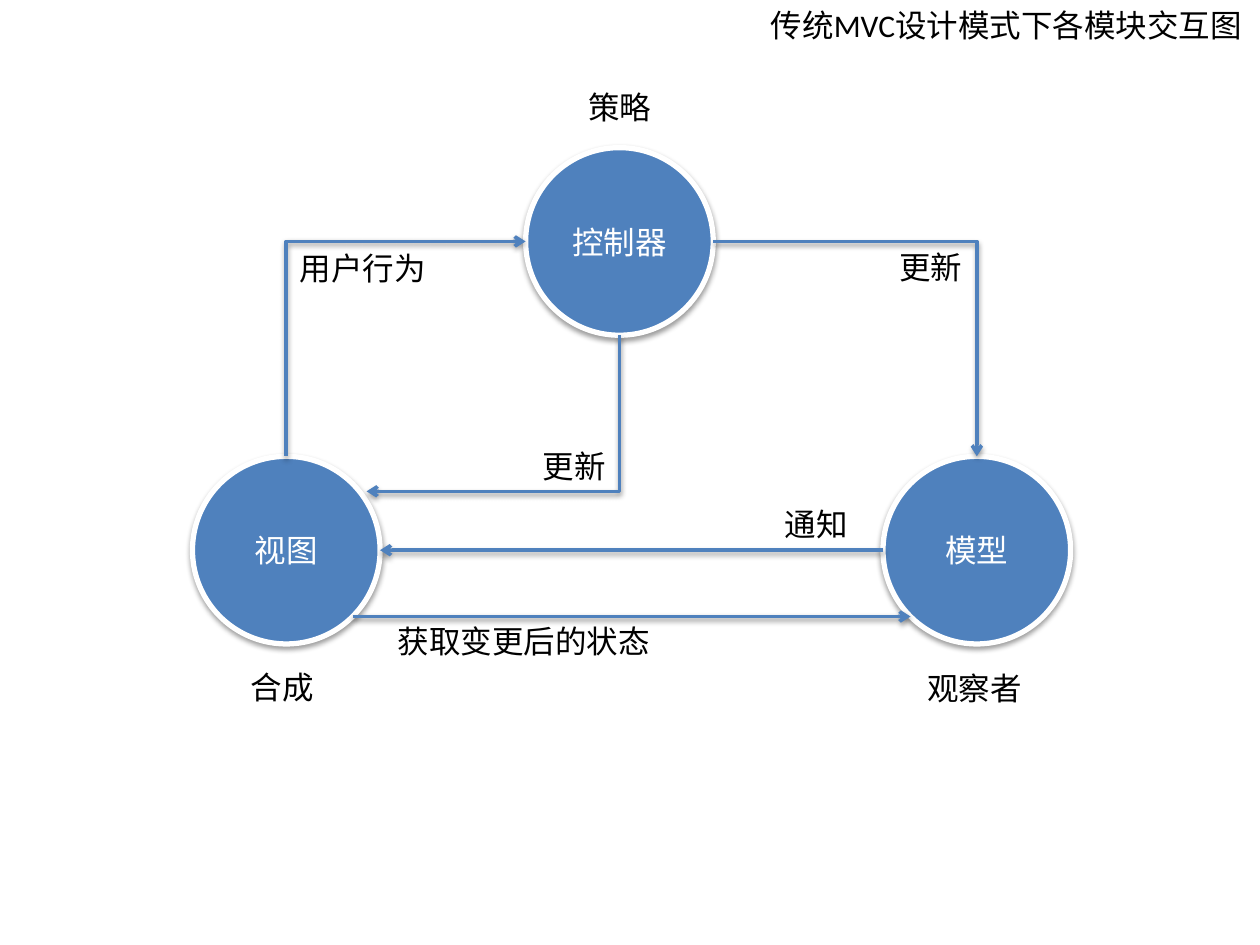
"""Draw how the modules of the traditional MVC pattern interact."""
from lxml.etree import SubElement
from pptx import Presentation
from pptx.dml.color import RGBColor
from pptx.enum.shapes import MSO_CONNECTOR, MSO_SHAPE
from pptx.enum.text import MSO_ANCHOR, PP_ALIGN
from pptx.oxml.ns import qn
from pptx.util import Pt

BLUE = RGBColor(0x4F, 0x81, 0xBD)
WHITE = RGBColor(0xFF, 0xFF, 0xFF)
BLACK = RGBColor(0x00, 0x00, 0x00)
RADIUS = 53.6
DIAG = 37.9
TOP, LOW = 138, 314.4
VIEW, CONTROL, MODEL = 163.6, 354, 558.2
NODES = [("控制器", CONTROL, TOP), ("视图", VIEW, LOW), ("模型", MODEL, LOW)]
LABELS = [
    ("用户行为", 164.2, 138.5, 87.1),
    ("更新", 506.9, 138, 51.1),
    ("更新", 303.1, 252, 51.1),
    ("通知", 441.4, 285.1, 51.1),
    ("获取变更后的状态", 220.3, 352.1, 159.8),
    ("合成", 136.1, 378, 51.1),
    ("观察者", 522.7, 378.8, 69.1),
    ("策略", 329, 46.8, 51.1),
]


def write(frame, text, color):
    """Put one styled paragraph into a text frame and return it."""
    para = frame.paragraphs[0]
    para.text = text
    para.font.size = Pt(18)
    para.font.name = "Calibri"
    para.font.color.rgb = color
    return para


def shade(shape):
    """Give a shape a soft shadow that falls straight down."""
    props = shape._element.spPr
    for old in props.findall(qn("a:effectLst")):
        props.remove(old)
    effects = SubElement(props, qn("a:effectLst"))
    shadow = SubElement(effects, qn("a:outerShdw"), blurRad=str(Pt(3.1)),
                        dist=str(Pt(1.6)), dir="5400000", rotWithShape="0")
    color = SubElement(shadow, qn("a:srgbClr"), val=str(BLACK))
    SubElement(color, qn("a:alpha"), val="38000")


def node(slide, text, x, y):
    """Add a module circle centred on x, y."""
    shape = slide.shapes.add_shape(
        MSO_SHAPE.OVAL, Pt(x - RADIUS), Pt(y - RADIUS),
        Pt(2 * RADIUS), Pt(2 * RADIUS))
    shape.fill.solid()
    shape.fill.fore_color.rgb = BLUE
    shape.line.color.rgb = WHITE
    shape.line.width = Pt(3)
    shade(shape)
    shape.text_frame.vertical_anchor = MSO_ANCHOR.MIDDLE
    write(shape.text_frame, text, WHITE).alignment = PP_ALIGN.CENTER


def arrow(slide, start, end, bent=False, tip="tailEnd"):
    """Add an arrow; a bent one runs across first, then up or down."""
    kind = MSO_CONNECTOR.ELBOW if bent else MSO_CONNECTOR.STRAIGHT
    link = slide.shapes.add_connector(kind, *map(Pt, start + end))
    if bent:
        link._element.spPr.find(qn("a:prstGeom")).set("prst", "bentConnector2")
    link.line.color.rgb = BLUE
    link.line.width = Pt(2)
    SubElement(link.line._get_or_add_ln(), qn(f"a:{tip}"), type="arrow")
    shade(link)


def label(slide, text, x, y, width, wrap=False):
    """Add a black text label."""
    box = slide.shapes.add_textbox(Pt(x), Pt(y), Pt(width), Pt(29.1))
    box.text_frame.word_wrap = wrap
    write(box.text_frame, text, BLACK)


def main():
    """Build and save the slide."""
    deck = Presentation()
    deck.slide_width, deck.slide_height = Pt(720), Pt(540)
    slide = deck.slides.add_slide(deck.slide_layouts[6])
    label(slide, "传统MVC设计模式下各模块交互图", 433.4, 0, 286.6, wrap=True)
    for item in NODES:
        node(slide, *item)
    arrow(slide, (CONTROL - RADIUS, TOP), (VIEW, LOW - RADIUS), True, "headEnd")
    arrow(slide, (209.5, 280.8), (CONTROL, TOP + RADIUS), True, "headEnd")
    arrow(slide, (CONTROL + RADIUS, TOP), (MODEL, LOW - RADIUS), True)
    arrow(slide, (MODEL - RADIUS, LOW), (VIEW + RADIUS, LOW))
    arrow(slide, (VIEW + DIAG, LOW + DIAG), (MODEL - DIAG, LOW + DIAG))
    for item in LABELS:
        label(slide, *item)
    deck.save("out.pptx")


if __name__ == "__main__":
    main()
